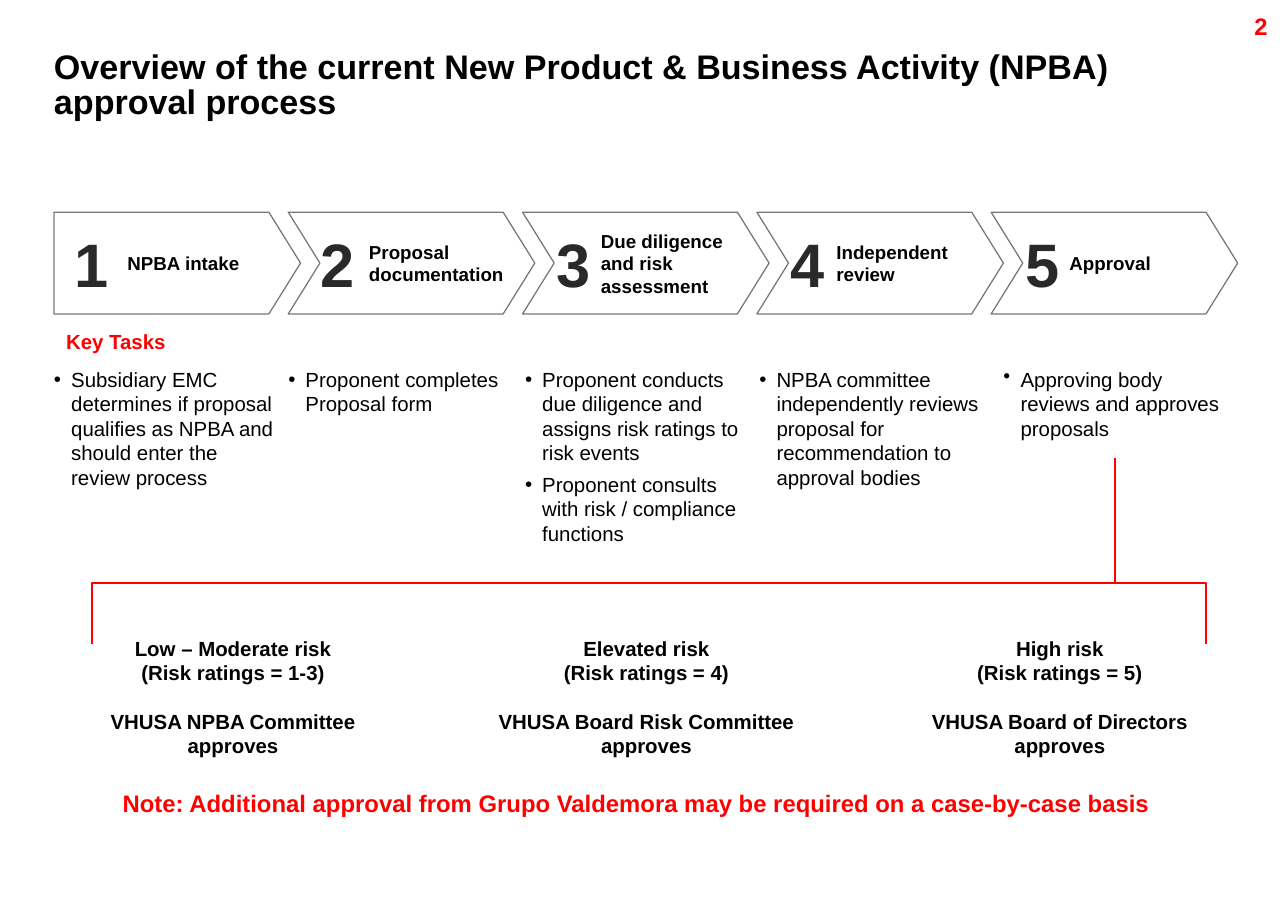
from dataclasses import dataclass

from lxml import etree
from pptx import Presentation
from pptx.dml.color import RGBColor
from pptx.enum.shapes import MSO_CONNECTOR, MSO_SHAPE
from pptx.enum.text import MSO_ANCHOR, MSO_AUTO_SIZE, PP_ALIGN
from pptx.oxml.ns import qn
from pptx.util import Inches, Pt

LEFT, CENTER, RIGHT = PP_ALIGN.LEFT, PP_ALIGN.CENTER, PP_ALIGN.RIGHT
TOP, MIDDLE = MSO_ANCHOR.TOP, MSO_ANCHOR.MIDDLE
NO_FIT = MSO_AUTO_SIZE.NONE
PENTAGON, CHEVRON = MSO_SHAPE.PENTAGON, MSO_SHAPE.CHEVRON
BRACKET, STRAIGHT = MSO_SHAPE.RIGHT_BRACKET, MSO_CONNECTOR.STRAIGHT
COMPARISON_LAYOUT = 4


@dataclass(frozen=True)
class Theme:
    font: str = "Arial"
    black: RGBColor = RGBColor(0x00, 0x00, 0x00)
    white: RGBColor = RGBColor(0xFF, 0xFF, 0xFF)
    red: RGBColor = RGBColor(0xFF, 0x00, 0x00)
    charcoal: RGBColor = RGBColor(0x29, 0x29, 0x29)
    gray: RGBColor = RGBColor(0x77, 0x77, 0x77)
    title: int = 20
    number: int = 36
    note: int = 14
    body: int = 12
    label: int = 11


@dataclass(frozen=True)
class Step:
    label: str
    tasks: tuple
    number_x: float
    label_x: float
    tasks_x: float


STEPS = [
    Step("NPBA intake",
         ("Subsidiary EMC determines if proposal qualifies as NPBA and "
          "should enter the review process",), 0.24, 0.94, 0.44),
    Step("Proposal documentation",
         ("Proponent completes Proposal form",), 2.25, 2.91, 2.35),
    Step("Due diligence and risk assessment",
         ("Proponent conducts due diligence and assigns risk ratings to "
          "risk events",
          "Proponent consults with risk / compliance functions"),
         4.17, 4.8, 4.28),
    Step("Independent review",
         ("NPBA committee independently reviews proposal for "
          "recommendation to approval bodies",), 6.08, 6.72, 6.19),
    Step("Approval",
         ("Approving body reviews and approves proposals",),
         8, 8.62, 8.18),
]
STEP_X, STEP_Y, STEP_PITCH, STEP_W, STEP_H = 0.44, 1.73, 1.91, 2.01, 0.83

OUTCOMES = [
    ("Low – Moderate risk", "(Risk ratings = 1-3)",
     "VHUSA NPBA Committee approves"),
    ("Elevated risk", "(Risk ratings = 4)",
     "VHUSA Board Risk Committee approves"),
    ("High risk", "(Risk ratings = 5)",
     "VHUSA Board of Directors approves"),
]
OUTCOME_X, OUTCOME_PITCH = 0.51, 3.37


class SlideBuilder:
    def __init__(self, prs, theme):
        self.theme = theme
        self.slide = prs.slides.add_slide(prs.slide_layouts[COMPARISON_LAYOUT])
        self.shapes = self.slide.shapes
        self.bodies = iter([ph for ph in self.slide.placeholders
                            if ph.placeholder_format.idx > 0])

    def place(self, sp, x, y, w, h):
        sp.left, sp.top = Inches(x), Inches(y)
        sp.width, sp.height = Inches(w), Inches(h)

    def set_text(self, sp, lines, size, color, bold=True, align=LEFT,
                 anchor=TOP, wrap=True, inset=True):
        tf = sp.text_frame
        tf.word_wrap, tf.auto_size, tf.vertical_anchor = wrap, NO_FIT, anchor
        tf.margin_left = tf.margin_right = Inches(0.1 if inset else 0)
        tf.margin_top = tf.margin_bottom = Inches(0.05 if inset else 0)
        tf.text = "\n".join(lines)
        for p in tf.paragraphs:
            p.alignment = align
            p.space_before = Pt(0)
            for r in p.runs:
                r.font.name, r.font.size = self.theme.font, Pt(size)
                r.font.bold, r.font.color.rgb = bold, color
        return tf

    def title(self, text, x, y, w, h):
        sp = self.shapes.title
        self.place(sp, x, y, w, h)
        tf = self.set_text(sp, [text], self.theme.title, self.theme.black,
                           inset=False)
        tf.paragraphs[0].line_spacing = 0.86

    def text(self, lines, x, y, w, h, size, color, **style):
        sp = self.shapes.add_textbox(Inches(x), Inches(y), Inches(w), Inches(h))
        return self.set_text(sp, lines, size, color, **style)

    def bullets(self, lines, x, y, w, h):
        sp = next(self.bodies, None)
        if sp is None:
            sp = self.shapes.add_textbox(0, 0, 0, 0)
        self.place(sp, x, y, w, h)
        tf = self.set_text(sp, lines, self.theme.body, self.theme.black,
                           bold=False, inset=False)
        for p in tf.paragraphs:
            p.space_after = Pt(4)
            pPr = p._p.get_or_add_pPr()
            pPr.set("marL", str(Inches(0.14)))
            pPr.set("indent", str(Inches(-0.14)))
            etree.SubElement(pPr, qn("a:buChar")).set("char", "•")

    def shape(self, kind, x, y, w, h, adjust, line, weight, fill=None):
        sp = self.shapes.add_shape(kind, Inches(x), Inches(y),
                                   Inches(w), Inches(h))
        sp.shadow.inherit = False
        sp.adjustments[0] = adjust
        if fill is None:
            sp.fill.background()
        else:
            sp.fill.solid()
            sp.fill.fore_color.rgb = fill
        sp.line.color.rgb, sp.line.width = line, Pt(weight)
        return sp

    def line(self, x1, y1, x2, y2, color, weight):
        cxn = self.shapes.add_connector(STRAIGHT, Inches(x1), Inches(y1),
                                        Inches(x2), Inches(y2))
        cxn.line.color.rgb, cxn.line.width = color, Pt(weight)
        etree.SubElement(cxn._element.spPr, qn("a:effectLst"))


def main():
    prs = Presentation()
    prs.slide_width, prs.slide_height = Inches(10.5), Inches(7.5)
    theme = Theme()
    s = SlideBuilder(prs, theme)

    # Heading and page number
    s.title("Overview of the current New Product & Business Activity (NPBA) "
            "approval process", 0.44, 0.42, 9.62, 0.8)
    s.text(["2"], 10.06, 0, 0.44, 0.42, theme.note, theme.red,
           align=CENTER, anchor=MIDDLE, inset=False)

    # Process steps with their key tasks
    for i, step in enumerate(STEPS):
        s.shape(CHEVRON if i else PENTAGON, STEP_X + i * STEP_PITCH, STEP_Y,
                STEP_W, STEP_H, 0.311, theme.gray, 0.75, theme.white)
        s.text([str(i + 1)], step.number_x, STEP_Y, 0.74, STEP_H,
               theme.number, theme.charcoal, align=RIGHT, anchor=MIDDLE,
               wrap=False)
        s.text([step.label], step.label_x, STEP_Y, 1.44, STEP_H,
               theme.label, theme.black, anchor=MIDDLE)
        s.bullets(step.tasks, step.tasks_x, 2.99, 1.82, 1.47)
    s.text(["Key Tasks"], 0.44, 2.63, 3.15, 0.38, theme.body, theme.red)

    # Branch from approval to the three outcomes
    bracket = s.shape(BRACKET, 5.04, 0.46, 0.5, 9.08, 0, theme.red, 1)
    bracket.rotation = 270
    s.line(9.09, 3.73, 9.09, 4.75, theme.red, 0.75)

    # Outcomes by risk rating
    for i, outcome in enumerate(OUTCOMES):
        tf = s.text(outcome, OUTCOME_X + i * OUTCOME_PITCH, 5.18, 2.78, 1,
                    theme.body, theme.black, align=CENTER, anchor=MIDDLE)
        tf.paragraphs[-1].space_before = Pt(14)

    # Closing note
    s.text(["Note: Additional approval from Grupo Valdemora may be required "
            "on a case-by-case basis"], 1, 6.43, 9.03, 0.24,
           theme.note, theme.red, inset=False)

    prs.save("out.pptx")


if __name__ == "__main__":
    main()
